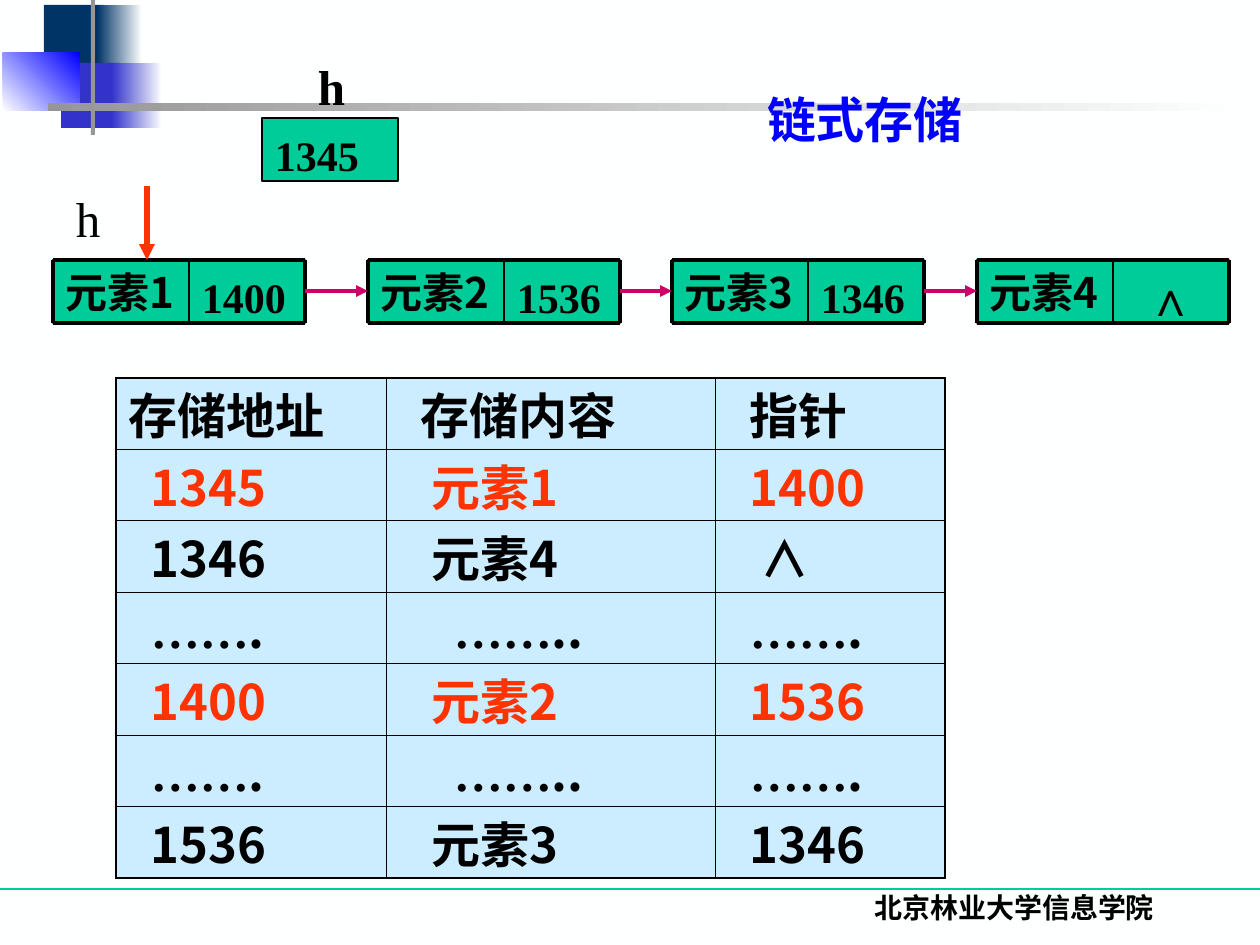
from dataclasses import dataclass
from typing import Any, Optional

import pptx
import pptx.dml.color
import pptx.enum.shapes
import pptx.enum.text
import pptx.oxml
import pptx.oxml.ns
import pptx.util

RGBColor = pptx.dml.color.RGBColor
Pt = pptx.util.Pt
ANCHOR = pptx.enum.text.MSO_ANCHOR
ALIGN = pptx.enum.text.PP_ALIGN
RECTANGLE = pptx.enum.shapes.MSO_SHAPE.RECTANGLE
STRAIGHT = pptx.enum.shapes.MSO_CONNECTOR.STRAIGHT

EMU_PER_PX = 914400 / 126
SERIF, SANS = "Times New Roman", "Noto Sans CJK SC"
PAPER = RGBColor(0xFE, 0xFF, 0xFF)
BLACK = RGBColor(0, 0, 0)
BLUE = RGBColor(0, 0, 0xFF)
NAVY = RGBColor(0, 0x33, 0x66)
INDIGO = RGBColor(0x33, 0x33, 0xCC)
GRAY = RGBColor(0x96, 0x96, 0x96)
GREEN = RGBColor(0, 0xCC, 0x99)
PALE_BLUE = RGBColor(0xCC, 0xEC, 0xFF)
RED = RGBColor(0xFF, 0x33, 0)
MAGENTA = RGBColor(0xCC, 0, 0x66)


@dataclass(frozen=True)
class Box:
    left: int
    top: int
    width: int
    height: int

    def emu(self) -> list[int]:
        return [px(v) for v in (self.left, self.top, self.width, self.height)]


@dataclass(frozen=True)
class Ornament:
    box: Box
    start: RGBColor
    end: Optional[RGBColor] = None
    angle: int = 0


@dataclass(frozen=True)
class Node:
    left: int
    element: str
    pointer: str
    pointer_size: int = 24


ORNAMENTS = [
    Ornament(Box(44, 5, 60, 66), NAVY),
    Ornament(Box(97, 5, 45, 66), NAVY, PAPER),
    Ornament(Box(61, 63, 58, 65), INDIGO),
    Ornament(Box(112, 63, 50, 65), INDIGO, PAPER),
    Ornament(Box(3, 53, 77, 58), PAPER, BLUE, 45),
    Ornament(Box(91, -10, 4, 145), GRAY),
    Ornament(Box(48, 103, 1198, 8), GRAY, PAPER),
]
NODES = [
    Node(53, "元素1", "1400"),
    Node(368, "元素2", "1536"),
    Node(672, "元素3", "1346"),
    Node(977, "元素4", "∧", 28),
]
NODE_TOP, NODE_HEIGHT, ELEMENT_WIDTH, POINTER_WIDTH = 260, 63, 136, 116
NODE_WIDTH = ELEMENT_WIDTH + POINTER_WIDTH

MEMORY = Box(116, 378, 829, 500)
COLUMN_WIDTHS = [270, 329, 230]
SPACE = 11  # one blank of the table text
HEADER = ["存储地址", "存储内容", "指针"]
HEADER_INDENTS = [0, 2, 2]
BODY_INDENTS = [2, 3, 2]
GAP_INDENTS = [2, 5, 2]
GAP = ["…….", "……..", "……."]
RECORDS = [
    (HEADER, HEADER_INDENTS, BLACK),
    (["1345", "元素1", "1400"], BODY_INDENTS, RED),
    (["1346", "元素4", "∧"], [2, 3, 3], BLACK),
    (GAP, GAP_INDENTS, BLACK),
    (["1400", "元素2", "1536"], BODY_INDENTS, RED),
    (GAP, GAP_INDENTS, BLACK),
    (["1536", "元素3", "1346"], BODY_INDENTS, BLACK),
]


def px(length: float) -> int:
    return round(length * EMU_PER_PX)


def set_format(target: Any, values: dict[str, Any]) -> None:
    for name, value in values.items():
        setattr(target, name, value)


def add_run(paragraph: Any, text: str, size: int, typeface: str,
            color: RGBColor = BLACK, bold: bool = True) -> None:
    run = paragraph.add_run()
    run.text = text
    set_format(run.font, {"size": Pt(size), "name": typeface, "bold": bold})
    run.font.color.rgb = color
    east_asian = pptx.oxml.parse_xml(
        f'<a:ea {pptx.oxml.ns.nsdecls("a")} typeface="{SANS if text[0] >= "一" else typeface}"/>')
    run.font._element.find(pptx.oxml.ns.qn("a:latin")).addnext(east_asian)


def set_text(frame: Any, text: str, size: int, typeface: str, color: RGBColor = BLACK,
             bold: bool = True, align: Any = ALIGN.LEFT, **frame_format: Any) -> None:
    set_format(frame, {"word_wrap": True, "vertical_anchor": ANCHOR.TOP,
                       "margin_left": px(13), "margin_right": 0,
                       "margin_top": px(6), "margin_bottom": px(6), **frame_format})
    paragraph = frame.paragraphs[0]
    paragraph.alignment = align
    add_run(paragraph, text, size, typeface, color, bold)


def add_line(slide: Any, start: tuple[int, int], end: tuple[int, int], color: RGBColor,
             width: float, arrow: bool = False) -> None:
    line = slide.shapes.add_connector(STRAIGHT, *map(px, start + end))
    set_format(line.line, {"width": Pt(width)})
    line.line.color.rgb = color
    namespace = pptx.oxml.ns.nsdecls("a")
    if arrow:
        line.line._get_or_add_ln().append(
            pptx.oxml.parse_xml(f'<a:tailEnd {namespace} type="triangle"/>'))
    line._element.spPr.append(pptx.oxml.parse_xml(f"<a:effectLst {namespace}/>"))


def add_ornament(slide: Any, ornament: Ornament) -> None:
    shape = slide.shapes.add_shape(RECTANGLE, *ornament.box.emu())
    shape.shadow.inherit = False
    shape.line.fill.background()
    if ornament.end is None:
        shape.fill.solid()
        shape.fill.fore_color.rgb = ornament.start
        return
    shape.fill.gradient()
    shape.fill.gradient_angle = ornament.angle
    for stop, color in zip(shape.fill.gradient_stops, (ornament.start, ornament.end)):
        stop.color.rgb = color


def add_field(slide: Any, box: Box, text: str, size: int, typeface: str,
              **frame_format: Any) -> None:
    field = slide.shapes.add_shape(RECTANGLE, *box.emu())
    field.shadow.inherit = False
    field.fill.solid()
    field.fill.fore_color.rgb = GREEN
    field.line.color.rgb = BLACK
    field.line.width = Pt(0.75)
    top = px(16 if typeface == SERIF else 6)
    set_text(field.text_frame, text, size, typeface, vertical_anchor=ANCHOR.MIDDLE,
             **{"margin_top": top, **frame_format})


def add_node(slide: Any, node: Node) -> None:
    middle, right = node.left + ELEMENT_WIDTH, node.left + NODE_WIDTH
    bottom = NODE_TOP + NODE_HEIGHT
    add_field(slide, Box(middle, NODE_TOP, POINTER_WIDTH, NODE_HEIGHT), node.pointer,
              node.pointer_size, SERIF, margin_left=px(34 if node.pointer == "∧" else 13))
    add_field(slide, Box(node.left, NODE_TOP, ELEMENT_WIDTH, NODE_HEIGHT),
              node.element, 24, SANS)
    for y in (NODE_TOP, bottom):
        add_line(slide, (node.left, y), (right, y), BLACK, 2.25)
    for x, width in ((node.left, 2.25), (middle, 1), (right, 2.25)):
        add_line(slide, (x, NODE_TOP), (x, bottom), BLACK, width)


def set_borders(cell: Any, outer_sides: dict[str, bool]) -> None:
    properties = cell._tc.get_or_add_tcPr()
    for side, outer in outer_sides.items():
        width = Pt(1.08 if outer else 0.45)
        properties.append(pptx.oxml.parse_xml(
            f'<a:ln{side} {pptx.oxml.ns.nsdecls("a")} w="{width}"><a:solidFill>'
            f'<a:srgbClr val="{BLACK}"/></a:solidFill></a:ln{side}>'))


def add_memory_table(slide: Any) -> None:
    rows, columns = len(RECORDS), len(COLUMN_WIDTHS)
    table = slide.shapes.add_table(rows, columns, *MEMORY.emu()).table
    set_format(table, {"first_row": False, "horz_banding": False})
    for column, width in zip(table.columns, COLUMN_WIDTHS):
        column.width = px(width)
    for r, (texts, indents, color) in enumerate(RECORDS):
        table.rows[r].height = px(MEMORY.height / rows)
        for c, (text, indent) in enumerate(zip(texts, indents)):
            cell = table.cell(r, c)
            set_borders(cell, {"L": c == 0, "R": c == columns - 1,
                               "T": r == 0, "B": r == rows - 1})
            cell.fill.solid()
            cell.fill.fore_color.rgb = PALE_BLUE
            set_format(cell, {"margin_left": px(13 + indent * SPACE), "margin_right": 0,
                              "margin_top": 0, "margin_bottom": 0})
            paragraph = cell.text_frame.paragraphs[0]
            dots = text.rstrip(".")
            if dots != text:
                add_run(paragraph, dots, 28, SERIF, color)
                add_run(paragraph, text[len(dots):], 28, SANS, color)
            else:
                add_run(paragraph, text, 28, SANS, color)


def add_label(slide: Any, box: Box, text: str, size: int, **text_format: Any) -> None:
    set_text(slide.shapes.add_textbox(*box.emu()).text_frame, text, size, SERIF, **text_format)


def main() -> None:
    deck = pptx.Presentation()
    set_format(deck, {"slide_width": px(1260), "slide_height": px(945)})
    slide = deck.slides.add_slide(deck.slide_layouts[5])
    slide.background.fill.solid()
    slide.background.fill.fore_color.rgb = PAPER

    add_line(slide, (0, 889), (1260, 889), GREEN, 0.75)
    for ornament in ORNAMENTS:
        add_ornament(slide, ornament)
    add_label(slide, Box(754, 885, 521, 60), "北京林业大学信息学院", 16,
              align=ALIGN.CENTER, margin_right=px(13))
    for node in NODES:
        add_node(slide, node)
    add_field(slide, Box(262, 118, 136, 63), "1345", 24, SERIF)
    link_y = NODE_TOP + NODE_HEIGHT // 2
    for source, target in zip(NODES, NODES[1:]):
        add_line(slide, (source.left + NODE_WIDTH, link_y), (target.left, link_y),
                 MAGENTA, 2.25, arrow=True)
    add_label(slide, Box(63, 182, 49, 72), "h", 28, bold=False)
    add_memory_table(slide)
    add_line(slide, (147, 186), (147, NODE_TOP), RED, 3, arrow=True)
    add_label(slide, Box(305, 50, 53, 72), "h", 28)

    title = slide.shapes.title
    set_format(title, dict(zip(("left", "top", "width", "height"), Box(754, 83, 238, 72).emu())))
    set_text(title.text_frame, "链式存储", 28, SERIF, BLUE)
    slide.shapes._spTree.append(title._element)  # the title lies above the gray bar
    deck.save("out.pptx")


if __name__ == "__main__":
    main()
